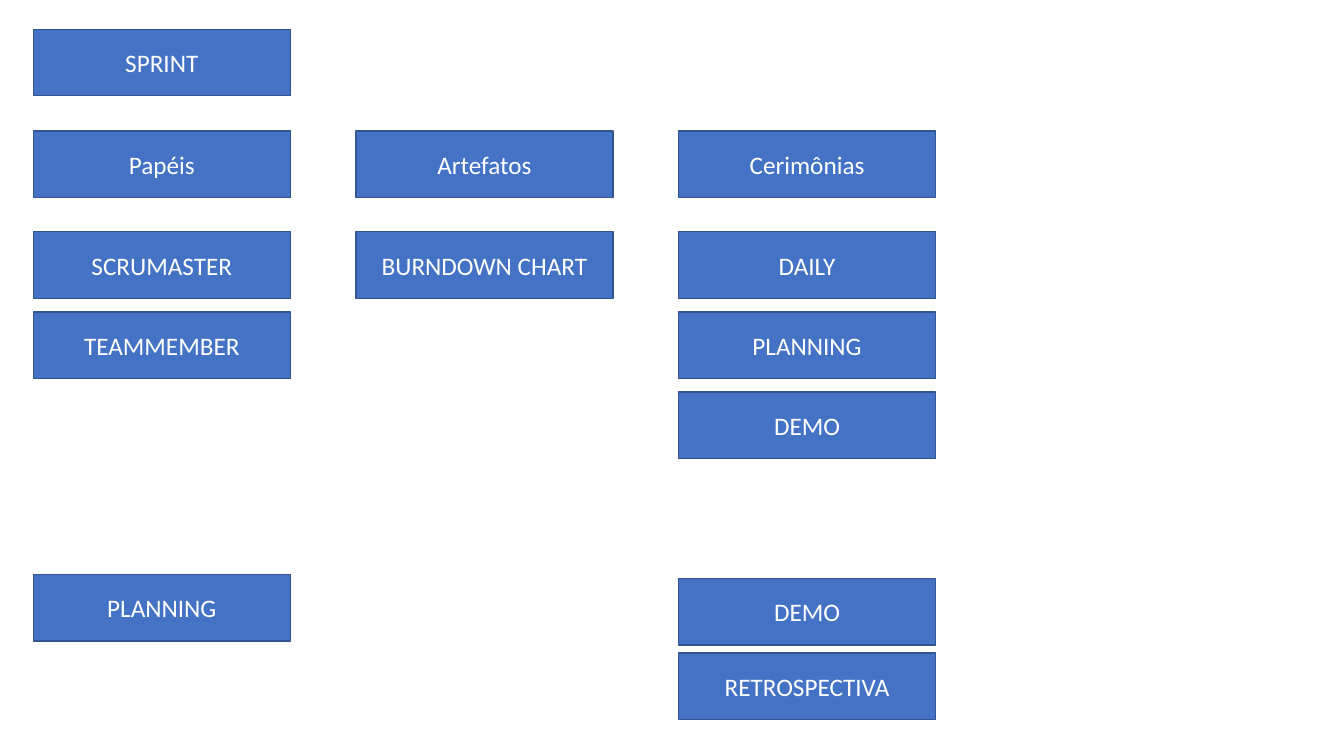
from pptx import Presentation
from pptx.dml.color import RGBColor
from pptx.enum.shapes import MSO_SHAPE
from pptx.enum.text import MSO_ANCHOR, PP_ALIGN
from pptx.util import Inches, Pt

RECTANGLE = MSO_SHAPE.RECTANGLE
MIDDLE = MSO_ANCHOR.MIDDLE
CENTER = PP_ALIGN.CENTER
BLANK_LAYOUT = 6

CARD_WIDTH, CARD_HEIGHT = 2.55, 0.66
LEFT_MARGIN, COLUMN_STEP = 0.33, 3.2
SPRINT_TOP, HEADING_TOP = 0.29, 1.3
ITEMS_TOP, ITEM_STEP = 2.3, 0.795

SCRUM_COLUMNS = [
    ("Papéis", ["SCRUMASTER", "TEAMMEMBER"]),
    ("Artefatos", ["BURNDOWN CHART"]),
    ("Cerimônias", ["DAILY", "PLANNING", "DEMO"]),
]
SPRINT_EVENTS = [
    ("PLANNING", 0, 5.7),
    ("DEMO", 2, 5.74),
    ("RETROSPECTIVA", 2, 6.48),
]


def color(hex_string):
    return RGBColor.from_string(hex_string)


def write_text(frame, text, size=18, font="Calibri", ink="FFFFFF", align=CENTER):
    frame.word_wrap = True
    frame.vertical_anchor = MIDDLE
    paragraph = frame.paragraphs[0]
    paragraph.alignment = align
    run = paragraph.add_run()
    run.text = text
    run.font.size = Pt(size)
    run.font.name = font
    run.font.color.rgb = color(ink)


def add_card(slide, text, column, top):
    left = LEFT_MARGIN + column * COLUMN_STEP
    card = slide.shapes.add_shape(
        RECTANGLE, Inches(left), Inches(top), Inches(CARD_WIDTH), Inches(CARD_HEIGHT)
    )
    card.shadow.inherit = False
    card.fill.solid()
    card.fill.fore_color.rgb = color("4472C4")
    card.line.color.rgb = color("325491")
    card.line.width = Pt(1)
    write_text(card.text_frame, text)


def add_scrum_column(slide, column, heading, items):
    add_card(slide, heading, column, HEADING_TOP)
    for row, item in enumerate(items):
        add_card(slide, item, column, ITEMS_TOP + row * ITEM_STEP)


def main():
    presentation = Presentation()
    presentation.slide_width = Inches(13.33)
    presentation.slide_height = Inches(7.5)
    slide = presentation.slides.add_slide(presentation.slide_layouts[BLANK_LAYOUT])

    add_card(slide, "SPRINT", 0, SPRINT_TOP)
    for column, (heading, items) in enumerate(SCRUM_COLUMNS):
        add_scrum_column(slide, column, heading, items)
    for event, column, top in SPRINT_EVENTS:
        add_card(slide, event, column, top)

    presentation.save("out.pptx")


main()
